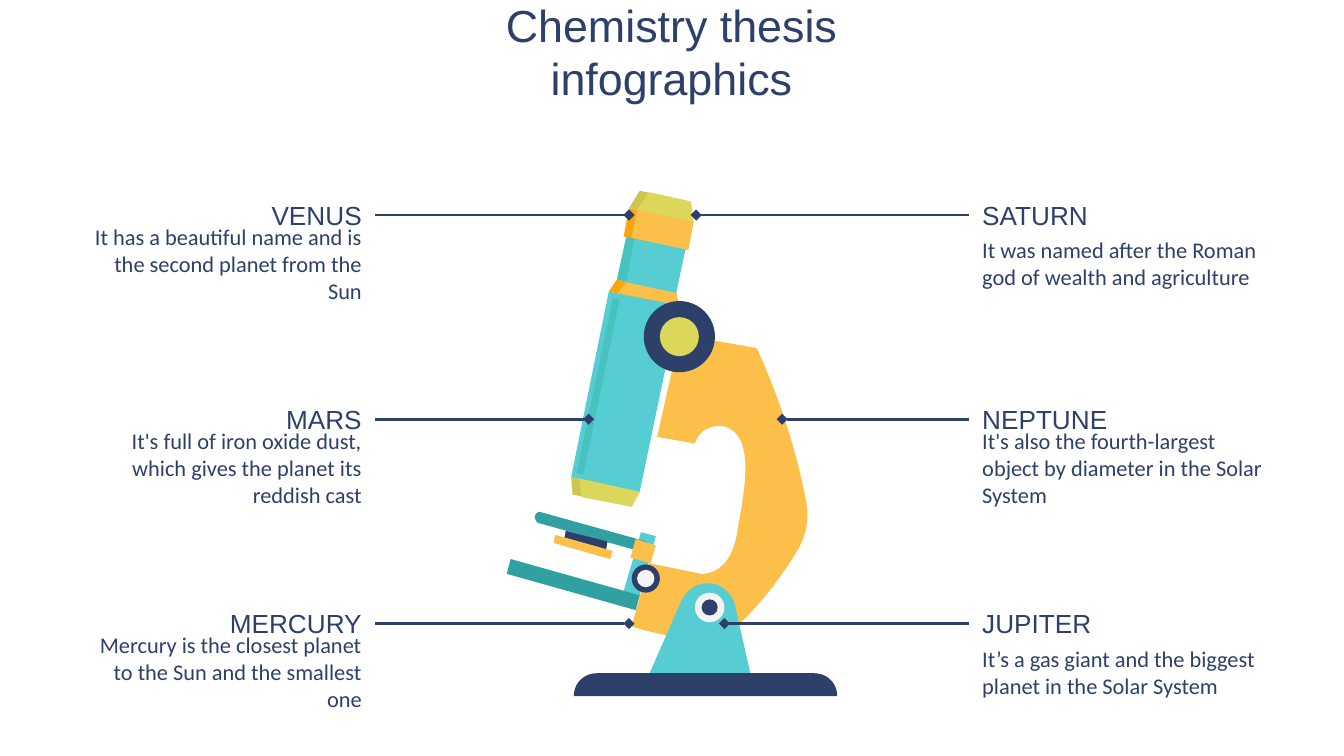
from lxml import etree
from pptx import Presentation
from pptx import util as u
from pptx.dml.color import RGBColor
from pptx.enum import shapes, text
from pptx.oxml.ns import qn

PX = 9144
NAVY = RGBColor(0x2D, 0x40, 0x6A)
AQUA = RGBColor(0x56, 0xCD, 0xD3)
DEEP_AQUA = RGBColor(0x48, 0xC1, 0xC1)
TEAL = RGBColor(0x30, 0xA0, 0xA0)
ORANGE = RGBColor(0xFC, 0xBF, 0x4A)
DEEP_ORANGE = RGBColor(0xF9, 0xA6, 0x0C)
LIME = RGBColor(0xDB, 0xD7, 0x5A)
DEEP_LIME = RGBColor(0xCC, 0xC6, 0x50)
PALE = RGBColor(0xF3, 0xF3, 0xF3)

TITLE = {"size": u.Pt(24), "name": "Arial"}
HEADING = {"size": u.Pt(14), "name": "Arial"}
BODY = {"size": u.Pt(12), "name": "Calibri"}
FRAME = {"word_wrap": True, "margin_left": 10 * PX, "margin_right": 10 * PX,
         "margin_top": 10 * PX, "margin_bottom": 10 * PX}

BODY_PARTS = [
    (AQUA, [(100, 254), (87, 298), (99, 301), (111, 257)]),
    (ORANGE, [(129, 107), (112, 183), (140, 188), (144, 176, 154, 175, 158, 175),
              (161, 175), (187, 181, 176, 227, 171, 257),
              (166, 283, 150, 285, 145, 285), (106, 277), (93, 324),
              (116, 332, 155, 336, 155, 336), (180, 321, 204, 288, 216, 268),
              (223, 257, 225, 244, 223, 232), (212, 171, 186, 117, 186, 117)]),
    (AQUA, [(76, 75), (48, 213), (99, 224), (128, 85)]),
    (DEEP_ORANGE, [(82, 66), (76, 75), (128, 85), (126, 75)]),
    (DEEP_AQUA, [(89, 34), (82, 66), (126, 76), (133, 43)]),
    (DEEP_ORANGE, [(91, 13), (87, 34), (135, 44), (139, 23)]),
    (DEEP_LIME, [(99, 0), (91, 13), (139, 23), (137, 8)]),
    (DEEP_LIME, [(48, 213), (49, 226), (93, 235), (99, 224)]),
    (ORANGE, [(89, 68), (83, 76), (128, 85), (126, 75)]),
    (AQUA, [(95, 36), (89, 68), (126, 76), (133, 43)]),
    (ORANGE, [(97, 14), (93, 35), (135, 44), (139, 23)]),
    (LIME, [(106, 1), (97, 14), (139, 23), (137, 8)]),
    (LIME, [(54, 214), (56, 228), (93, 235), (99, 224)]),
    (DEEP_AQUA, [(79, 80), (52, 210), (57, 211), (84, 81)]),
]
STAGE_PARTS = [
    (TEAL, [(25, 239), (23, 239, 22, 240, 21, 242), (21, 243),
            (21, 244, 22, 246, 23, 247), (102, 269), (104, 261)]),
    (NAVY, [(44, 253), (43, 258), (74, 267), (75, 261)]),
    (ORANGE, [(36, 256), (35, 262), (77, 274), (79, 268)]),
    (ORANGE, [(96, 259), (92, 273), (107, 277), (111, 264)]),
    (TEAL, [(3, 274), (0, 285), (96, 312), (99, 301)]),
]
FOOT_PARTS = [
    (AQUA, [(150, 292), (141, 292, 134, 297, 130, 305), (105, 362), (182, 362),
            (170, 309), (168, 299, 159, 292, 150, 292)]),
    (NAVY, [(67, 359), (58, 359, 50, 366, 50, 376), (246, 376),
            (246, 366, 238, 359, 229, 359)]),
]
FOCUS_KNOB = [(NAVY, 102, 82, 53), (LIME, 114, 94, 29)]
STAGE_KNOB = [(NAVY, 93, 278, 21), (PALE, 97, 282, 13)]
FOOT_PIVOT = [(PALE, 140, 299, 22), (NAVY, 145, 304, 12)]

ROWS = [
    (("VENUS", "It has a beautiful name and is the second planet from the Sun", 468),
     ("SATURN", "It was named after the Roman god of wealth and agriculture", 518)),
    (("MARS", "It's full of iron oxide dust, which gives the planet its reddish cast", 438),
     ("NEPTUNE", "It's also the fourth-largest object by diameter in the Solar System", 582)),
    (("MERCURY", "Mercury is the closest planet to the Sun and the smallest one", 468),
     ("JUPITER", "It’s a gas giant and the biggest planet in the Solar System", 539)),
]


def write(page, box, words, font, align, anchor):
    """Place one formatted paragraph in the given box."""
    frame = page.shapes.add_textbox(*(value * PX for value in box)).text_frame
    for key, value in FRAME.items():
        setattr(frame, key, value)
    frame.vertical_anchor = anchor
    para = frame.paragraphs[0]
    para.alignment = align
    span = para.add_run()
    span.text = words
    for key, value in font.items():
        setattr(span.font, key, value)
    span.font.color.rgb = NAVY


def paint(shape, colour):
    """Give a shape a flat fill without line or shadow."""
    shape.shadow.inherit = False
    shape.fill.solid()
    shape.fill.fore_color.rgb = colour
    shape.line.fill.background()


def trace(steps, count=16):
    """Turn points and cubic curves into a list of points."""
    points = [steps[0]]
    for step in steps[1:]:
        if len(step) == 2:
            points.append(step)
            continue
        corners = [points[-1], step[:2], step[2:4], step[4:]]
        for index in range(1, count + 1):
            t = index / count
            weights = ((1 - t) ** 3, 3 * t * (1 - t) ** 2, 3 * t * t * (1 - t), t ** 3)
            points.append(tuple(sum(w * corner[axis] for w, corner in zip(weights, corners))
                                for axis in (0, 1)))
    return points


def microscope(page, box):
    """Draw the microscope from the top left of its box."""
    left, top = box
    group = page.shapes.add_group_shape()
    layers = ((BODY_PARTS, FOCUS_KNOB), (STAGE_PARTS, STAGE_KNOB), (FOOT_PARTS, FOOT_PIVOT))
    for outlines, discs in layers:
        for colour, steps in outlines:
            points = [((left + x) * PX, (top + y) * PX) for x, y in trace(steps)]
            builder = group.shapes.build_freeform(*points[0])
            builder.add_line_segments(points[1:], close=True)
            paint(builder.convert_to_shape(), colour)
        for colour, x, y, size in discs:
            disc = group.shapes.add_shape(shapes.MSO_SHAPE.OVAL, (left + x) * PX,
                                          (top + y) * PX, size * PX, size * PX)
            paint(disc, colour)


def callout(page, box, heading, body, tip, align):
    """Place a heading over its text, with a pointer from the inner edge."""
    left, top, width, height = box
    middle = text.MSO_ANCHOR.MIDDLE
    write(page, box, heading, HEADING, align, middle)
    write(page, (left, top + height, width, height), body, BODY, align, middle)
    start = left + width if tip > left else left
    level = (top + height // 2) * PX
    pointer = page.shapes.add_connector(shapes.MSO_CONNECTOR.STRAIGHT,
                                        start * PX, level, tip * PX, level)
    pointer.line.color.rgb = NAVY
    pointer.line.width = u.Pt(1.5)
    etree.SubElement(pointer.line._get_or_add_ln(), qn("a:tailEnd"), type="diamond")
    etree.SubElement(pointer._element.spPr, qn("a:effectLst"))


def main():
    """Build and save the deck."""
    deck = Presentation()
    deck.slide_width = 1000 * PX
    deck.slide_height = deck.slide_width * 9 // 16
    page = deck.slides.add_slide(deck.slide_layouts[6])
    write(page, (279, 45, 441, 43), "Chemistry thesis infographics", TITLE,
          text.PP_ALIGN.CENTER, text.MSO_ANCHOR.BOTTOM)
    microscope(page, (377, 142))
    sides = ((50, text.PP_ALIGN.RIGHT), (721, text.PP_ALIGN.LEFT))
    for index, row in enumerate(ROWS):
        for (left, align), (heading, body, tip) in zip(sides, row):
            callout(page, (left, 142 + 152 * index, 229, 36), heading, body, tip, align)
    deck.save("out.pptx")


if __name__ == "__main__":
    main()
